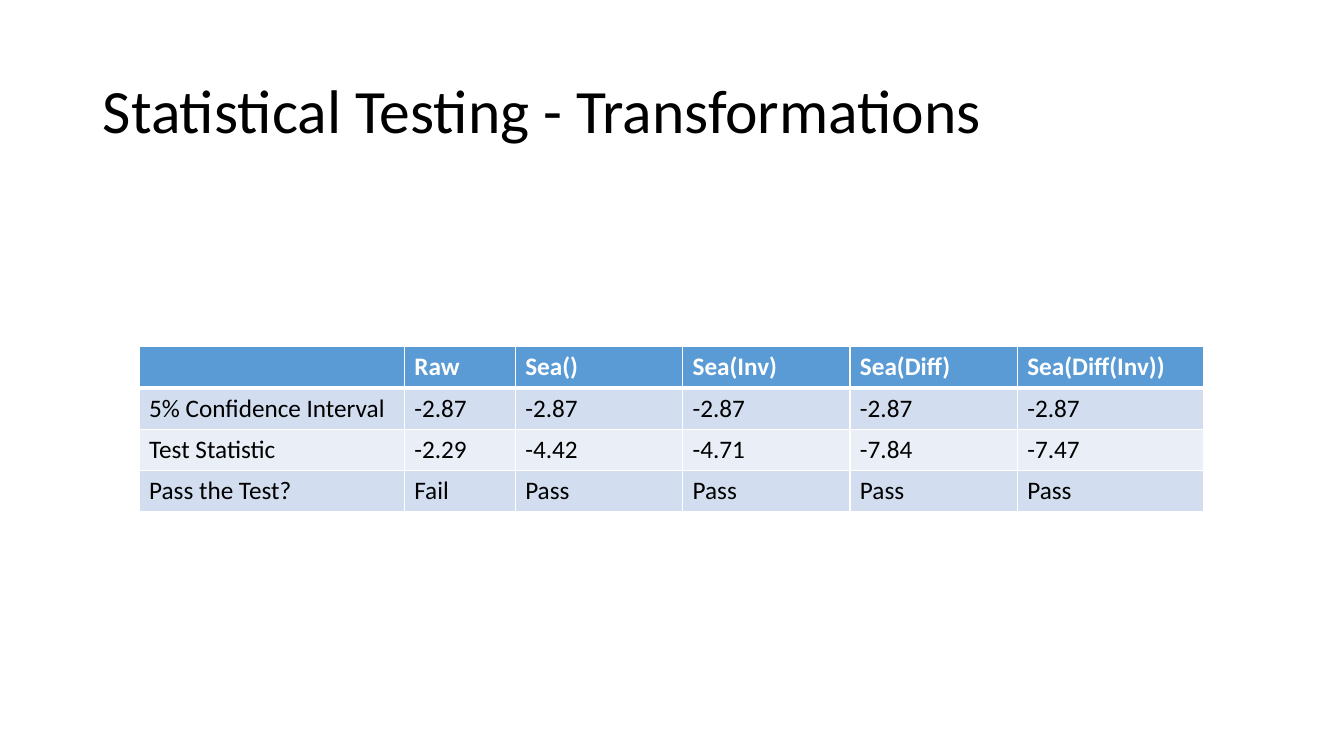
from lxml import etree
from pptx import Presentation
from pptx.dml.color import RGBColor
from pptx.enum.text import MSO_ANCHOR, MSO_AUTO_SIZE, PP_ALIGN
from pptx.oxml.ns import qn
from pptx.util import Inches, Pt

LEFT = PP_ALIGN.LEFT
MIDDLE = MSO_ANCHOR.MIDDLE
NO_FIT = MSO_AUTO_SIZE.NONE

BLACK = RGBColor(0x00, 0x00, 0x00)
WHITE = RGBColor(0xFF, 0xFF, 0xFF)
HEADER_BLUE = RGBColor(0x5B, 0x9B, 0xD5)
BAND_DARK = RGBColor(0xD2, 0xDE, 0xEF)
BAND_LIGHT = RGBColor(0xEA, 0xEF, 0xF7)

TITLE_ONLY = 5
COLUMN_WIDTHS = [2.63, 1.1, 1.66, 1.66, 1.66, 1.85]
ROW_HEIGHT = 0.41
TEST_RESULTS = [
    ["", "Raw", "Sea()", "Sea(Inv)", "Sea(Diff)", "Sea(Diff(Inv))"],
    ["5% Confidence Interval"] + ["-2.87"] * 5,
    ["Test Statistic", "-2.29", "-4.42", "-4.71", "-7.84", "-7.47"],
    ["Pass the Test?", "Fail"] + ["Pass"] * 4,
]


def write_text(tf, text, size=18, color=BLACK, bold=False, spacing=1.0):
    p = tf.paragraphs[0]
    p.alignment = LEFT
    p.line_spacing = spacing
    p.font.size = Pt(size)
    if text:
        r = p.add_run()
        r.text = text
        r.font.name = "Calibri"
        r.font.size = Pt(size)
        r.font.bold = bold
        r.font.color.rgb = color


def set_border(cell, side, width, color=WHITE):
    tc_pr = cell._tc.get_or_add_tcPr()
    ln = etree.SubElement(tc_pr, qn(f"a:ln{side}"), w=str(Pt(width)))
    fill = etree.SubElement(ln, qn("a:solidFill"))
    etree.SubElement(fill, qn("a:srgbClr"), val=str(color))


class SlideBuilder:
    """Adds styled elements to one slide."""

    def __init__(self, prs):
        self.s = prs.slides.add_slide(prs.slide_layouts[TITLE_ONLY])

    def title(self, text, left, top, width, height):
        sp = self.s.shapes.title
        sp.left, sp.top = Inches(left), Inches(top)
        sp.width, sp.height = Inches(width), Inches(height)
        tf = sp.text_frame
        tf.word_wrap = True
        tf.auto_size = NO_FIT
        tf.vertical_anchor = MIDDLE
        write_text(tf, text, size=44, spacing=0.9)

    def table(self, rows, left, top, widths, row_height):
        frame = self.s.shapes.add_table(
            len(rows), len(widths), Inches(left), Inches(top),
            Inches(sum(widths)), Inches(row_height * len(rows)))
        table = frame.table
        for column, width in zip(table.columns, widths):
            column.width = Inches(width)
        for i, values in enumerate(rows):
            table.rows[i].height = Inches(row_height)
            for j, value in enumerate(values):
                self.cell(table.cell(i, j), value, i)

    def cell(self, cell, text, row):
        header = row == 0
        borders = {"L": 1, "R": 1, "T": 3 if row == 1 else 1, "B": 3 if header else 1}
        for side, width in borders.items():
            set_border(cell, side, width)
        band = BAND_DARK if row % 2 else BAND_LIGHT
        cell.fill.solid()
        cell.fill.fore_color.rgb = HEADER_BLUE if header else band
        write_text(cell.text_frame, text, color=WHITE if header else BLACK, bold=header)


def main():
    prs = Presentation()
    prs.slide_width, prs.slide_height = Inches(13.33), Inches(7.5)
    slide = SlideBuilder(prs)
    slide.title("Statistical Testing - Transformations", 0.92, 0.4, 11.5, 1.45)
    slide.table(TEST_RESULTS, 1.38, 3.44, COLUMN_WIDTHS, ROW_HEIGHT)
    prs.save("out.pptx")


if __name__ == "__main__":
    main()
